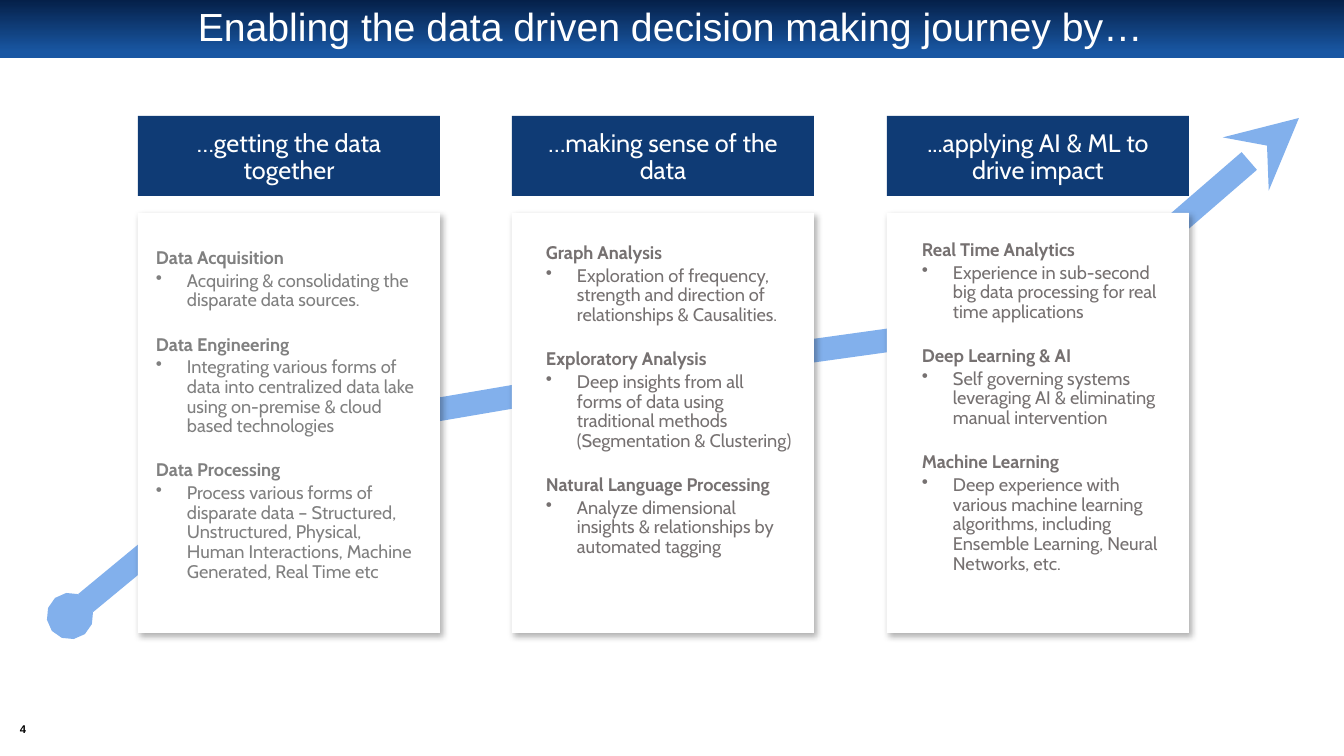
import pptx
import pptx.util
import pptx.dml.color
import pptx.enum.shapes
import pptx.enum.text
import pptx.oxml
import pptx.oxml.ns

PX = 914400 / 100.8
COLORS = {"bar_top": "052049", "bar_bottom": "1957A3", "header": "0F3B75", "arrow": "82B0EC",
          "white": "FFFFFF", "black": "000000", "gray": "808080", "warm_gray": "767171"}
ALIGN = pptx.enum.text.PP_ALIGN
ANCHOR = pptx.enum.text.MSO_ANCHOR
RECT = pptx.enum.shapes.MSO_SHAPE.RECTANGLE
STRAIGHT = pptx.enum.shapes.MSO_CONNECTOR.STRAIGHT

COLUMNS = [
    {"header": "…getting the data together", "text_box": (10, 28, 282, 371), "color": "gray", "topics": [
        ("Data Acquisition", "Acquiring & consolidating the disparate data sources."),
        ("Data Engineering", "Integrating various forms of data into centralized data lake "
                             "using on-premise & cloud based technologies"),
        ("Data Processing", "Process various forms of disparate data – Structured, Unstructured, "
                            "Physical, Human Interactions, Machine Generated, Real Time etc")]},
    {"header": "…making sense of the data", "text_box": (26, 23, 262, 380), "color": "warm_gray", "topics": [
        ("Graph Analysis", "Exploration of frequency, strength and direction of relationships & Causalities."),
        ("Exploratory Analysis", "Deep insights from all forms of data using traditional methods "
                                 "(Segmentation & Clustering)"),
        ("Natural Language Processing", "Analyze dimensional insights & relationships by automated tagging")]},
    {"header": "...applying AI & ML to drive impact", "text_box": (27, 20, 257, 380), "color": "warm_gray", "topics": [
        ("Real Time Analytics", "Experience in sub-second big data processing for real time applications"),
        ("Deep Learning & AI", "Self governing systems leveraging AI & eliminating manual intervention"),
        ("Machine Learning", "Deep experience with various machine learning algorithms, including "
                             "Ensemble Learning, Neural Networks, etc.")]},
]


def px(n):
    """Turn pixels into EMU."""
    return pptx.util.Emu(round(n * PX))


def rgb(name):
    """Look up a named colour."""
    return pptx.dml.color.RGBColor.from_string(COLORS[name])


def add_xml(parent, xml):
    """Append a DrawingML element to a parent."""
    ns = pptx.oxml.ns.nsdecls("a")
    tag, rest = xml[:xml.index(" ")], xml[xml.index(" "):]
    parent.append(pptx.oxml.parse_xml(f"{tag} {ns}{rest}"))


def add_rect(slide, x, y, w, h, color):
    """Add a plain filled rectangle."""
    sp = slide.shapes.add_shape(RECT, px(x), px(y), px(w), px(h))
    sp.shadow.inherit = False
    sp.fill.solid()
    sp.fill.fore_color.rgb = rgb(color)
    sp.line.fill.background()
    return sp


def set_frame(sp, margin_x, margin_y, anchor):
    """Set margins, wrapping and anchor of a shape's text."""
    tf = sp.text_frame
    tf.margin_left = tf.margin_right = px(margin_x)
    tf.margin_top = tf.margin_bottom = px(margin_y)
    tf.word_wrap = True
    tf.vertical_anchor = anchor
    return tf


def add_textbox(slide, x, y, w, h, margin, anchor=ANCHOR.TOP):
    """Add an empty text box and return its text frame."""
    return set_frame(slide.shapes.add_textbox(px(x), px(y), px(w), px(h)), margin, margin, anchor)


def style(p, font, size, color, bold=False, align=ALIGN.LEFT):
    """Set font, alignment and line spacing of a paragraph."""
    p.font.name = font
    p.font.size = pptx.util.Pt(size)
    p.font.bold = bold
    p.font.color.rgb = rgb(color)
    p.alignment = align
    p.line_spacing = 0.9


def add_title_bar(slide, x, y, w, h, title):
    """Draw the gradient bar with the slide title."""
    bar = add_rect(slide, x, y, w, h, "bar_top")
    bar.fill.gradient()
    bar.fill.gradient_angle = 270
    for stop, position, color in zip(bar.fill.gradient_stops, (0, 0.9), ("bar_top", "bar_bottom")):
        stop.position = position
        stop.color.rgb = rgb(color)
    p = add_textbox(slide, x + 67, y + 6, w - 138, 45, 5, ANCHOR.MIDDLE).paragraphs[0]
    p.text = title
    style(p, "Arial", 28, "white", align=ALIGN.CENTER)


def add_journey(slide, x, y, w, h):
    """Draw the rising arrow from bottom left to top right of the box."""
    paths = [((0, h), (219, 317), '<a:headEnd type="oval" w="sm" len="sm"/>'),
             ((219, 317), (576, 256), None),
             ((576, 256), (964, 202), None),
             ((955, 237), (w, 0), '<a:tailEnd type="stealth" w="med" len="med"/>')]
    for (x1, y1), (x2, y2), end in paths:
        line = slide.shapes.add_connector(STRAIGHT, px(x + x1), px(y + y1), px(x + x2), px(y + y2))
        line.line.color.rgb = rgb("arrow")
        line.line.width = pptx.util.Pt(16.75)
        if end:
            add_xml(line.line._ln, end)
        add_xml(line._element.spPr, "<a:effectLst />")


def add_topics(tf, topics, color):
    """Write headings, each followed by one bullet."""
    for i, (heading, detail) in enumerate(topics):
        p = tf.add_paragraph() if i else tf.paragraphs[0]
        p.text = heading
        style(p, "Cabin", 13, color, bold=True)
        p.space_before = pptx.util.Pt(17.5 if i else 0)
        p.space_after = pptx.util.Pt(2)
        p = tf.add_paragraph()
        p.text = detail
        pPr = p._p.get_or_add_pPr()
        pPr.set("marL", str(px(31)))
        pPr.set("indent", str(-px(31)))
        add_xml(pPr, '<a:buChar char="•"/>')
        style(p, "Cabin", 13, color)


def add_column(slide, x, y, w, h, column):
    """Draw one stage: header block and shadowed panel with topics."""
    panel_y = y + 97
    panel = add_rect(slide, x, panel_y, w, h - 97, "white")
    effects = panel._element.spPr.find(pptx.oxml.ns.qn("a:effectLst"))
    add_xml(effects, '<a:outerShdw blurRad="57150" dist="33020" dir="3180000" algn="tl" rotWithShape="0">'
                     f'<a:srgbClr val="{COLORS["black"]}"><a:alpha val="30000"/></a:srgbClr></a:outerShdw>')
    header = add_rect(slide, x, y, w, 80, "header")
    p = set_frame(header, 30, 15, ANCHOR.TOP).paragraphs[0]
    p.text = column["header"]
    style(p, "Cabin", 18, "white", align=ALIGN.CENTER)
    dx, dy, text_w, text_h = column["text_box"]
    add_topics(add_textbox(slide, x + dx, panel_y + dy, text_w, text_h, 8), column["topics"], column["color"])


def add_page_number(slide, x, y, w, h, number):
    """Write the page number."""
    tf = add_textbox(slide, x, y, w, h, 0, ANCHOR.MIDDLE)
    p = tf.paragraphs[0]
    p.text = number
    style(p, "Arial", 8, "black", bold=True, align=ALIGN.CENTER)


def main():
    """Build the slide and save it."""
    prs = pptx.Presentation()
    prs.slide_width, prs.slide_height = px(1344), px(756)
    slide = prs.slides.add_slide(prs.slide_layouts[6])
    add_title_bar(slide, 0, 0, 1344, 58, "Enabling the data driven decision making journey by…")
    add_journey(slide, 70, 118, 1229, 498)
    for i, column in enumerate(COLUMNS):
        add_column(slide, 138 + i * 749 // 2, 116, 302, 517, column)
    add_page_number(slide, 8, 720, 30, 19, "4")
    prs.save("out.pptx")


if __name__ == "__main__":
    main()
